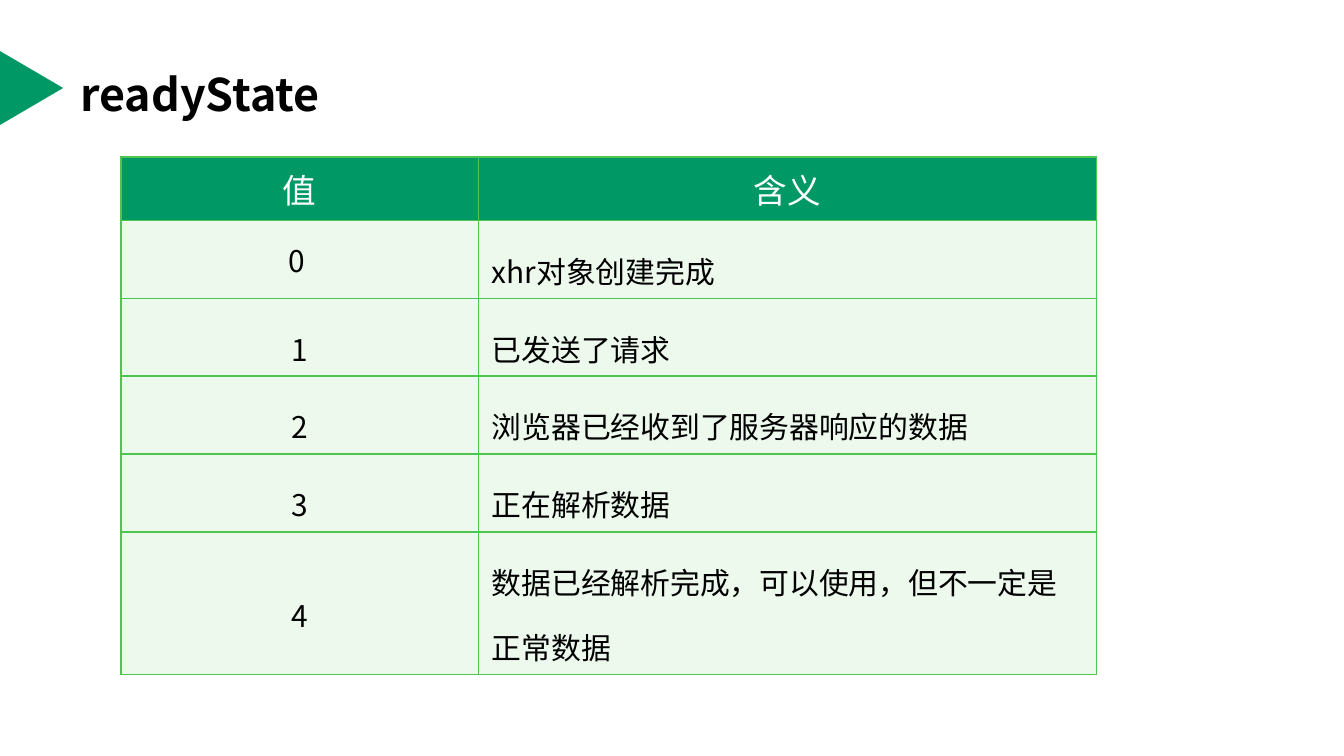
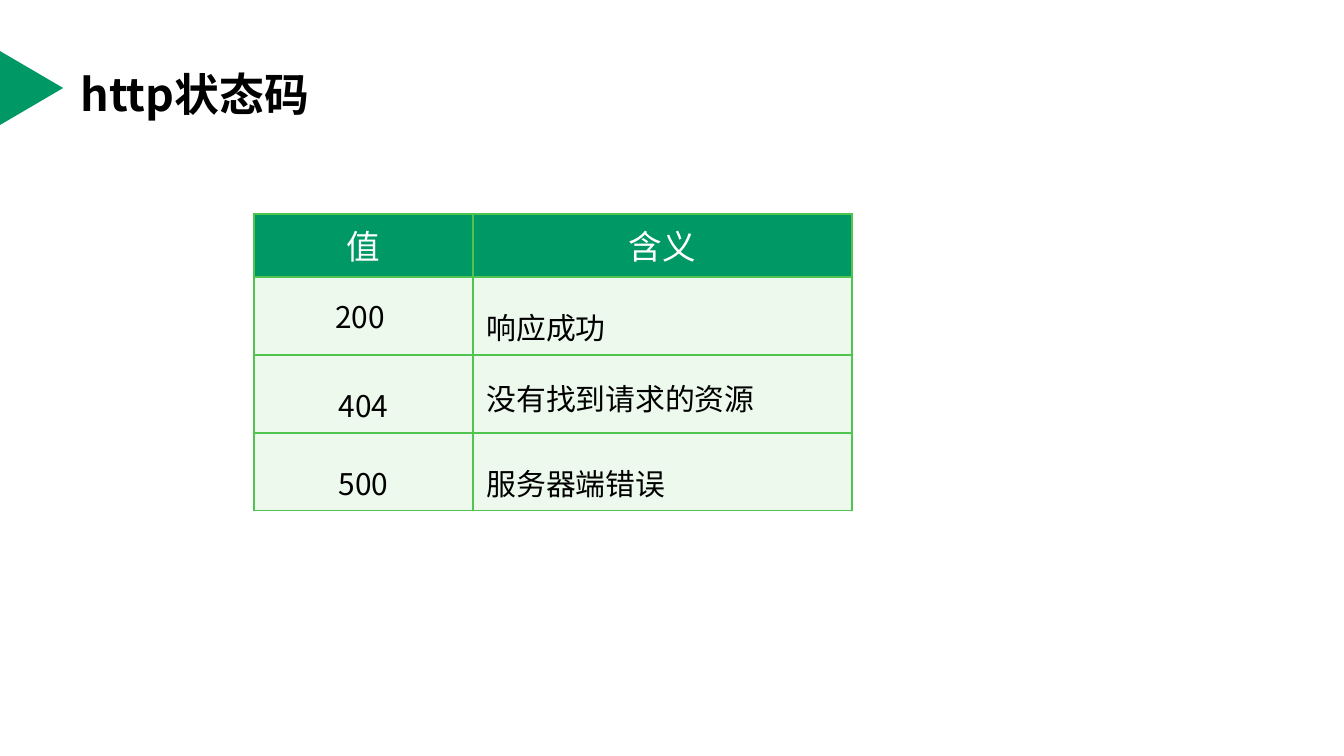
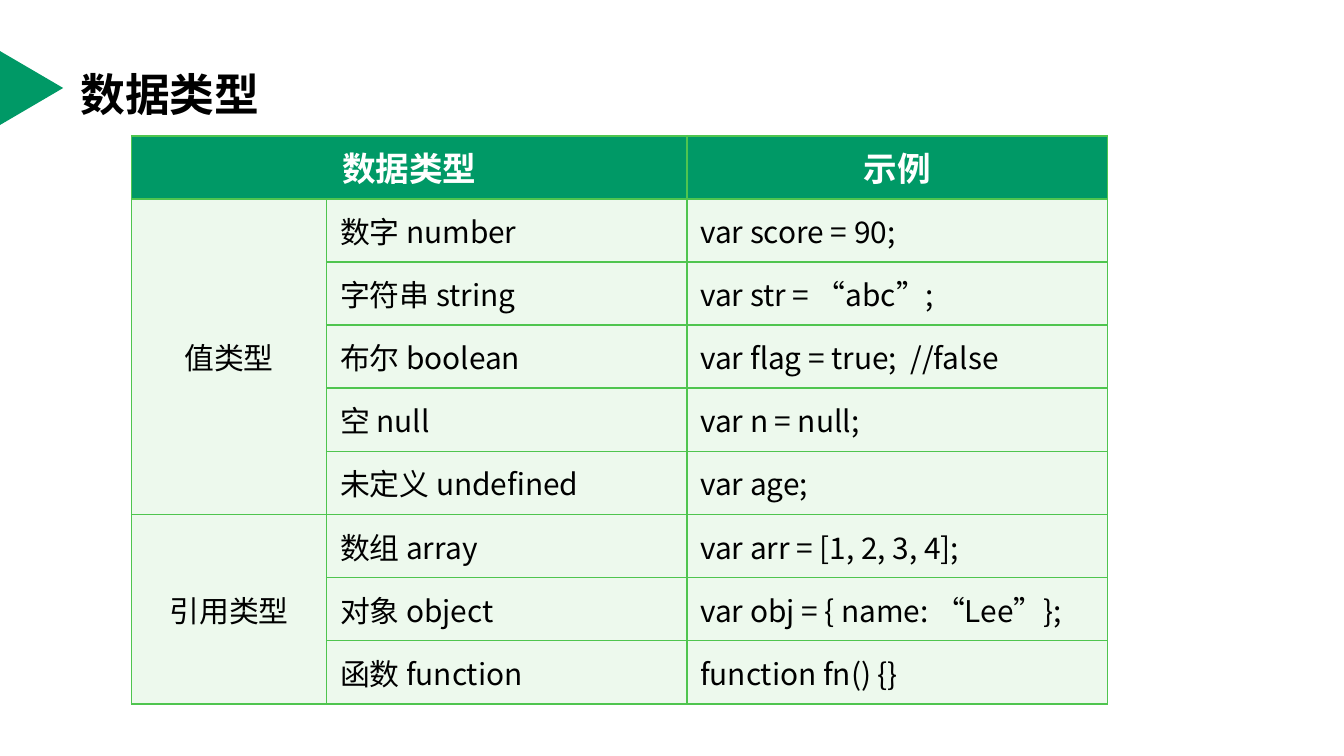
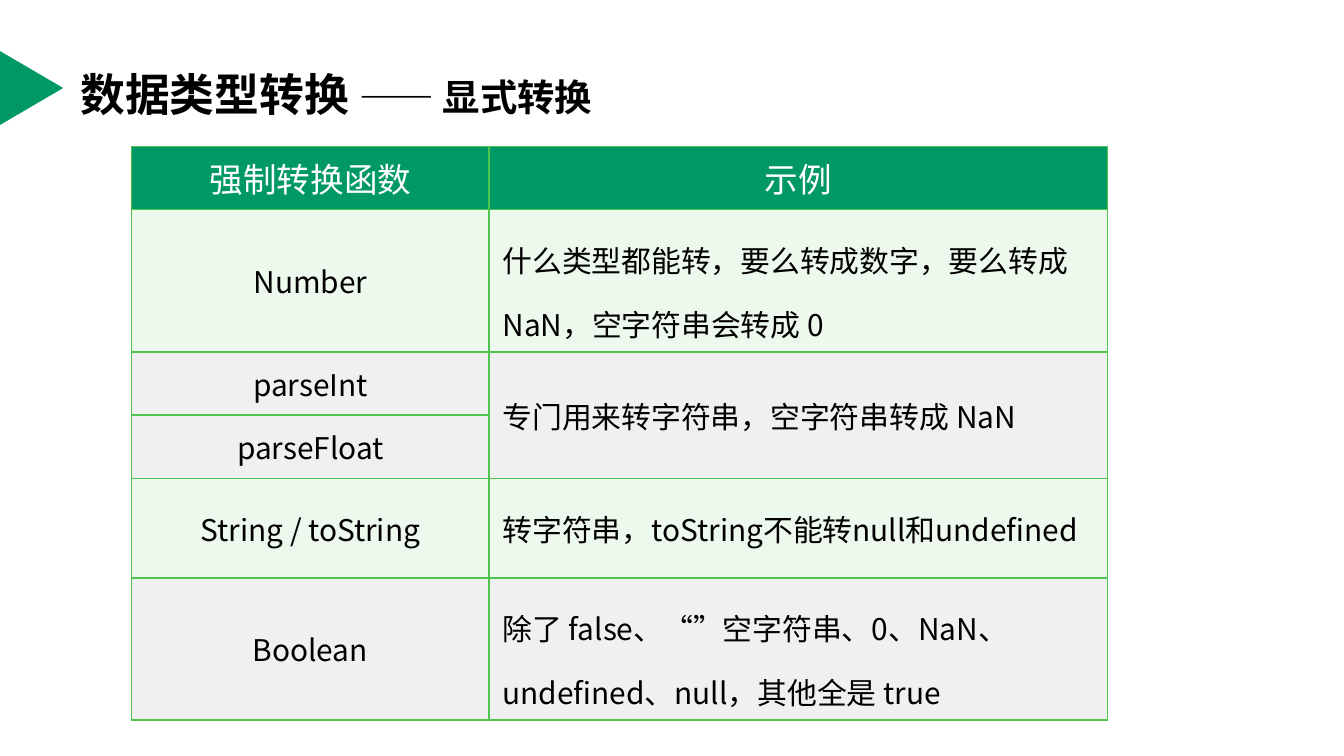
from dataclasses import dataclass
from typing import Optional

from lxml import etree
from pptx import Presentation
from pptx.dml.color import RGBColor
from pptx.enum import lang, shapes, text
from pptx.oxml import ns
from pptx.util import Inches, Pt

GREEN = RGBColor(0x00, 0x99, 0x66)
BORDER = RGBColor(0x4F, 0xC5, 0x4F)
MINT = RGBColor(0xED, 0xF9, 0xED)
GREY = RGBColor(0xF0, 0xF0, 0xF0)
BLACK = RGBColor(0, 0, 0)
WHITE = RGBColor(0xFF, 0xFF, 0xFF)
FONT = "Noto Sans CJK SC"
WIDTH = Inches(10)
HEIGHT = WIDTH * 9 // 16
SINGLE, LOOSE, DOUBLE, LOOSE_DOUBLE = 0.47, 0.58, 0.74, 1.06
CENTER, LEFT = text.PP_ALIGN.CENTER, text.PP_ALIGN.LEFT
TOP, MIDDLE = text.MSO_ANCHOR.TOP, text.MSO_ANCHOR.MIDDLE


@dataclass(frozen=True)
class Cell:
    text: str
    align: text.PP_ALIGN = LEFT
    spacing: float = 1.0
    fill: RGBColor = MINT
    color: RGBColor = BLACK
    size: int = 16
    bold: bool = False
    rows: int = 1
    cols: int = 1
    anchor: text.MSO_ANCHOR = MIDDLE
    inset: float = 0.05


Row = list[Optional[Cell]]


@dataclass(frozen=True)
class Page:
    title: list[tuple[str, int]]
    left: float
    top: float
    widths: list[float]
    heights: list[float]
    rows: list[Row]


def head(label: str, bold: bool = False, cols: int = 1) -> Cell:
    return Cell(label, CENTER, fill=GREEN, color=WHITE, size=18, bold=bold, cols=cols)


def key(label: str, spacing: float = 1.0, fill: RGBColor = MINT, rows: int = 1) -> Cell:
    return Cell(label, CENTER, spacing, fill, rows=rows)


def note(label: str, fill: RGBColor = MINT) -> Cell:
    return Cell(label, spacing=1.5, fill=fill)


def apply(target: object, values: dict) -> None:
    for name, value in values.items():
        setattr(target, name, value)


def add_run(p, label: str, size: int, color: RGBColor, bold: bool) -> None:
    r = p.add_run()
    r.text = label
    r.font.color.rgb = color
    apply(r.font, {"name": FONT, "size": Pt(size), "bold": bold,
                   "language_id": lang.MSO_LANGUAGE_ID.SIMPLIFIED_CHINESE})
    etree.SubElement(r.font._element, ns.qn("a:ea"), typeface=FONT)


def add_title(s, runs: list[tuple[str, int]]) -> None:
    sp = s.shapes.add_shape(shapes.MSO_SHAPE.ISOSCELES_TRIANGLE, Inches(-0.04),
                            Inches(0.42), Inches(0.55), Inches(0.47))
    sp.rotation = 90
    sp.shadow.inherit = False
    sp.fill.solid()
    sp.fill.fore_color.rgb = GREEN
    sp.line.fill.background()
    tf = s.shapes.add_textbox(Inches(0.5), Inches(0.23), Inches(9), Inches(0.94)).text_frame
    apply(tf, {"word_wrap": True, "vertical_anchor": MIDDLE})
    for label, size in runs:
        add_run(tf.paragraphs[0], label, size, BLACK, True)


def add_borders(cell) -> None:
    tc_pr = cell._tc.get_or_add_tcPr()
    for i, side in enumerate(("lnL", "lnR", "lnT", "lnB")):
        ln = etree.Element(ns.qn(f"a:{side}"), w=str(Pt(1)))
        fill = etree.SubElement(ln, ns.qn("a:solidFill"))
        etree.SubElement(fill, ns.qn("a:srgbClr"), val=str(BORDER))
        tc_pr.insert(i, ln)


def fill_cell(cell, data: Cell) -> None:
    apply(cell, {"vertical_anchor": data.anchor,
                 "margin_left": Inches(0.1), "margin_right": Inches(0.1),
                 "margin_top": Inches(data.inset), "margin_bottom": Inches(data.inset)})
    p = cell.text_frame.paragraphs[0]
    apply(p, {"alignment": data.align, "line_spacing": data.spacing})
    add_run(p, data.text, data.size, data.color, data.bold)


def add_grid(s, page: Page) -> None:
    table = s.shapes.add_table(len(page.rows), len(page.widths), Inches(page.left),
                               Inches(page.top), Inches(sum(page.widths)),
                               Inches(sum(page.heights))).table
    apply(table, {"first_row": False, "horz_banding": False})
    for column, width in zip(table.columns, page.widths):
        column.width = Inches(width)
    for row, height in zip(table.rows, page.heights):
        row.height = Inches(height)
    for i, row in enumerate(page.rows):
        for j, data in enumerate(row):
            cell = table.cell(i, j)
            add_borders(cell)
            if data is None:
                continue
            fill_cell(cell, data)
            for y in range(i, i + data.rows):
                for x in range(j, j + data.cols):
                    part = table.cell(y, x)
                    part.fill.solid()
                    part.fill.fore_color.rgb = data.fill
            if data.rows * data.cols > 1:
                cell.merge(table.cell(i + data.rows - 1, j + data.cols - 1))


READY_STATES = ["已发送了请求", "浏览器已经收到了服务器响应的数据", "正在解析数据",
                "数据已经解析完成，可以使用，但不一定是正常数据"]
VALUE_TYPES = [("数字 number", "var score = 90;"),
               ("字符串 string", "var str = “abc”;"),
               ("布尔 boolean", "var flag = true;  //false"),
               ("空 null", "var n = null;"),
               ("未定义 undefined", "var age;")]
REFERENCE_TYPES = [("数组 array", "var arr = [1, 2, 3, 4];"),
                   ("对象 object", "var obj = { name: “Lee”};"),
                   ("函数 function", "function fn() {}")]


def type_rows(group: str, items: list[tuple[str, str]]) -> list[Row]:
    return [[None if i else key(group, rows=len(items)), Cell(name), Cell(code)]
            for i, (name, code) in enumerate(items)]


PAGES = [
    Page([("readyState", 24)], 0.9, 1.17, [2.66, 4.6],
         [SINGLE, *[LOOSE] * 4, LOOSE_DOUBLE],
         [[head("值"), head("含义")],
          [key("0 "), note("xhr对象创建完成")],
          *[[key(str(n), 1.5), note(label)] for n, label in enumerate(READY_STATES, 1)]]),
    Page([("http状态码", 24)], 1.89, 1.59, [1.63, 2.82],
         [SINGLE, *[LOOSE] * 3],
         [[head("值"), head("含义")],
          [key("200 "), note("响应成功")],
          [key("404", 1.5), Cell("没有找到请求的资源", spacing=1.5, anchor=TOP, inset=0)],
          [key("500", 1.5), note("服务器端错误")]]),
    Page([("数据类型", 24)], 0.98, 1.01, [1.45, 2.68, 3.13],
         [SINGLE] * 9,
         [[head("数据类型", True, 2), None, head("示例", True)],
          *type_rows("值类型", VALUE_TYPES),
          *type_rows("引用类型", REFERENCE_TYPES)]),
    Page([("数据类型转换 ", 24), ("—— 显式转换", 20)], 0.98, 1.09, [2.66, 4.6],
         [SINGLE, LOOSE_DOUBLE, SINGLE, SINGLE, DOUBLE, LOOSE_DOUBLE],
         [[head("强制转换函数"), head("示例")],
          [key("Number"), note("什么类型都能转，要么转成数字，要么转成 NaN，空字符串会转成 0")],
          [key("parseInt", fill=GREY),
           Cell("专门用来转字符串，空字符串转成 NaN", fill=GREY, rows=2)],
          [key("parseFloat", fill=GREY), None],
          [key("String / toString"), Cell("转字符串，toString不能转null和undefined")],
          [key("Boolean", fill=GREY),
           note("除了 false、“”空字符串、0、NaN、undefined、null，其他全是 true", GREY)]]),
]


def main() -> None:
    prs = Presentation()
    apply(prs, {"slide_width": WIDTH, "slide_height": HEIGHT})
    for page in PAGES:
        s = prs.slides.add_slide(prs.slide_layouts[6])
        add_title(s, page.title)
        add_grid(s, page)
    prs.save("out.pptx")


main()
